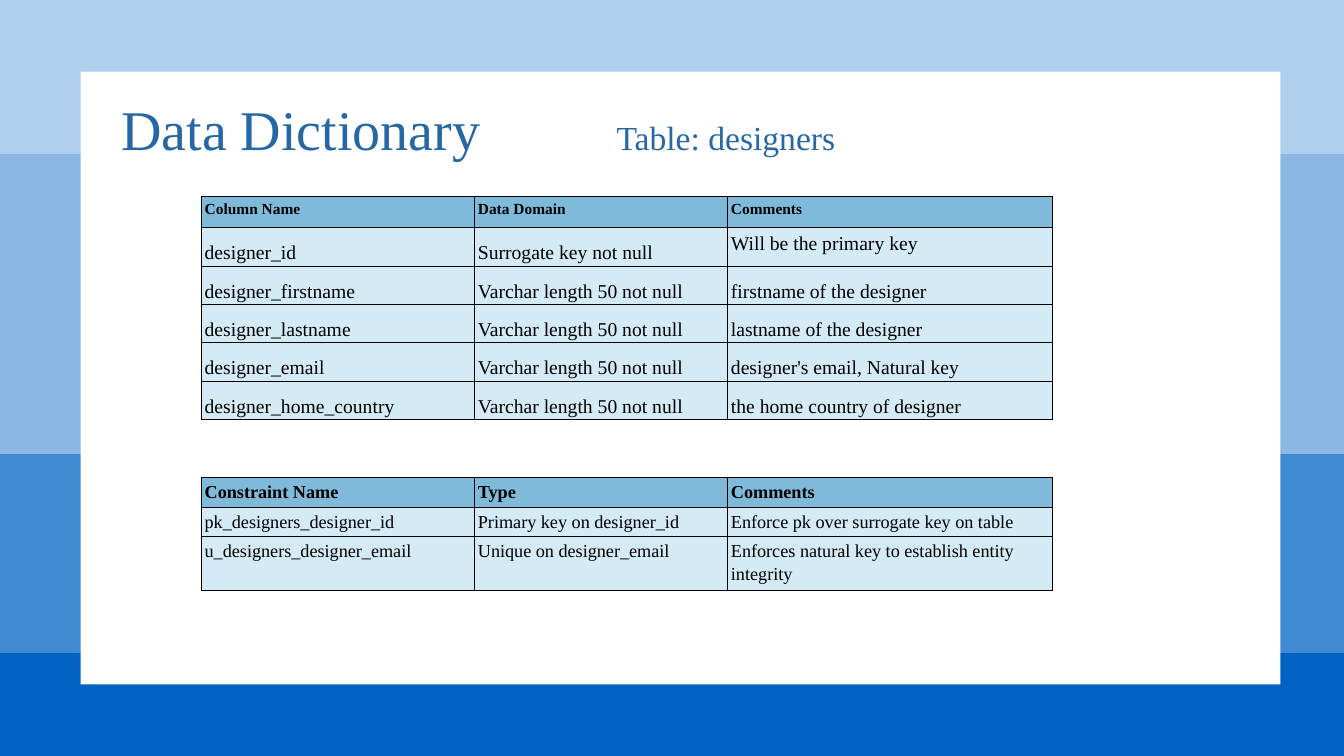
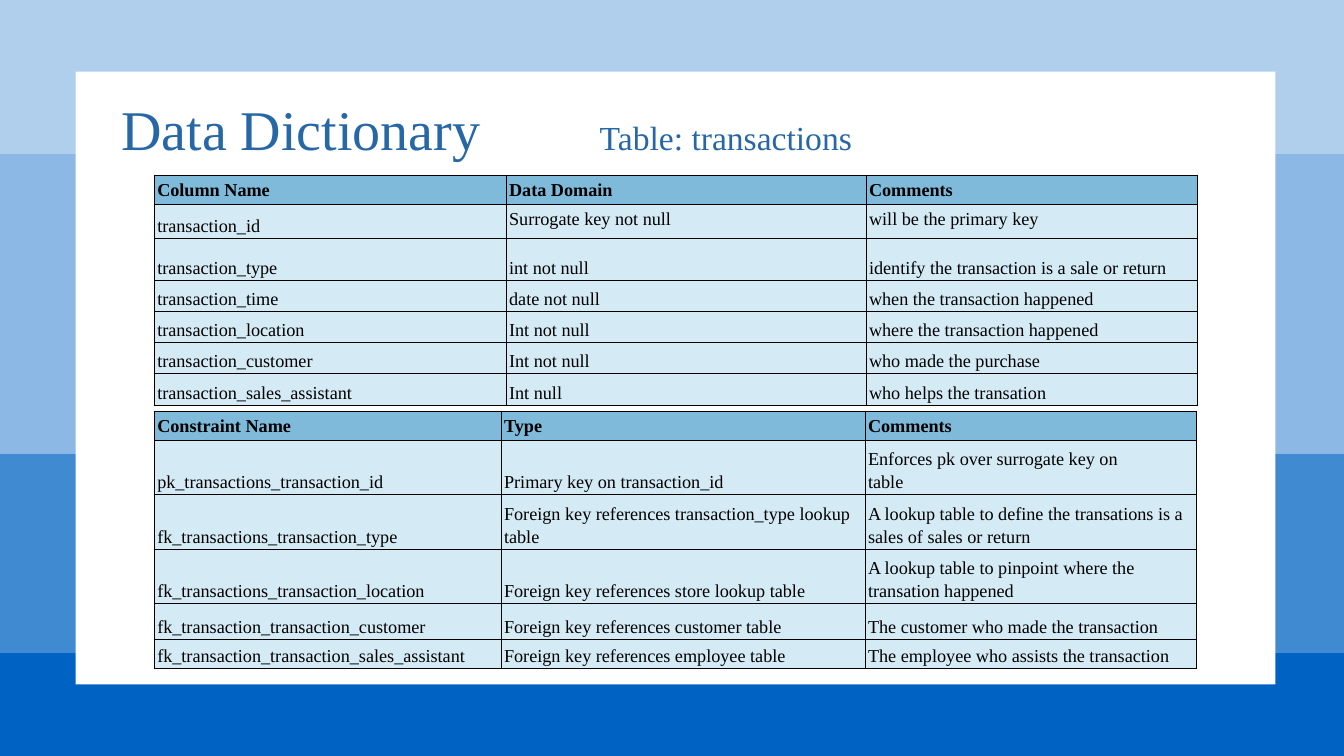
from lxml import etree
from pptx import Presentation
from pptx.dml.color import RGBColor
from pptx.enum.shapes import MSO_SHAPE
from pptx.enum.text import MSO_ANCHOR, MSO_AUTO_SIZE, PP_ALIGN
from pptx.oxml import parse_xml
from pptx.oxml.ns import nsdecls
from pptx.util import Inches, Pt

FONT = "Times New Roman"
TITLE, BLACK, WHITE = "2767A6", "000000", "FFFFFF"
HEADER, BODY = "7FBADA", "D4EAF5"
BANDS = [(0, "B0CFED"), (1.53, "8BB8E4"), (4.5, "408AD2"), (6.48, "0063C3")]
WIDTH, HEIGHT = 13.33, 7.5


def paint(target, color):
    target.solid()
    target.fore_color.rgb = RGBColor.from_string(color)


def format_text(tf, size, color, bold=False, align=PP_ALIGN.LEFT, spacing=None):
    tf.word_wrap = True
    for p in tf.paragraphs:
        p.alignment = align
        p.line_spacing = spacing
        for r in p.runs:
            r.font.name = FONT
            r.font.size = Pt(size)
            r.font.bold = bold
            paint(r.font.fill, color)


SLIDES = [
    {
        "subtitle": "Table: designers",
        "panel_left": 0.8,
        "tables": [
            {
                "at": (2, 1.95),
                "cols": [2.71, 2.51, 3.22],
                "heights": [0.31] + [0.38] * 5,
                "sizes": (11, 14),
                "top_cells": {(1, 2)},
                "rows": [
                    ("Column Name", "Data Domain", "Comments"),
                    ("designer_id", "Surrogate key not null", "Will be the primary key"),
                    ("designer_firstname", "Varchar length 50 not null", "firstname of the designer"),
                    ("designer_lastname", "Varchar length 50 not null", "lastname of the designer"),
                    ("designer_email", "Varchar length 50 not null", "designer's email, Natural key"),
                    ("designer_home_country", "Varchar length 50 not null", "the home country of designer"),
                ],
            },
            {
                "at": (2, 4.74),
                "cols": [2.71, 2.51, 3.22],
                "heights": [0.29, 0.29, 0.53],
                "sizes": (13, 13),
                "top_cells": {(i, j) for i in (1, 2) for j in range(3)},
                "rows": [
                    ("Constraint Name", "Type", "Comments"),
                    ("pk_designers_designer_id", "Primary key on designer_id",
                     "Enforce pk over surrogate key on table"),
                    ("u_designers_designer_email", "Unique on designer_email",
                     "Enforces natural key to establish entity integrity"),
                ],
            },
        ],
    },
    {
        "subtitle": "Table: transactions",
        "panel_left": 0.75,
        "tables": [
            {
                "at": (1.53, 1.74),
                "cols": [3.49, 3.57, 3.29],
                "heights": [0.27, 0.34, 0.41] + [0.31] * 4,
                "sizes": (13, 13),
                "top_cells": {(1, 1), (1, 2)},
                "rows": [
                    ("Column Name", "Data Domain", "Comments"),
                    ("transaction_id", "Surrogate key not null", "will be the primary key"),
                    ("transaction_type", "int not null", "identify the transaction is a sale or return"),
                    ("transaction_time", "date not null", "when the transaction happened"),
                    ("transaction_location", "Int not null", "where the transaction happened"),
                    ("transaction_customer", "Int not null", "who made the purchase"),
                    ("transaction_sales_assistant", "Int null", "who helps the transation"),
                ],
            },
            {
                "at": (1.53, 4.08),
                "cols": [3.44, 3.61, 3.29],
                "heights": [0.29, 0.53, 0.53, 0.53, 0.36, 0.29],
                "sizes": (13, 13),
                "top_cells": set(),
                "rows": [
                    ("Constraint Name", "Type", "Comments"),
                    ("pk_transactions_transaction_id", "Primary key on transaction_id",
                     "Enforces pk over surrogate key on\ntable"),
                    ("fk_transactions_transaction_type",
                     "Foreign key references transaction_type lookup table",
                     "A lookup table to define the transations is a sales of sales or return"),
                    ("fk_transactions_transaction_location", "Foreign key references store lookup table",
                     "A lookup table to pinpoint where the transation happened"),
                    ("fk_transaction_transaction_customer", "Foreign key references customer table",
                     "The customer who made the transaction"),
                    ("fk_transaction_transaction_sales_assistant", "Foreign key references employee table",
                     "The employee who assists the transaction"),
                ],
            },
        ],
    },
]

prs = Presentation()
prs.slide_width, prs.slide_height = Inches(WIDTH), Inches(HEIGHT)

for page in SLIDES:
    s = prs.slides.add_slide(prs.slide_layouts[6])

    bottoms = [top for top, _ in BANDS[1:]] + [HEIGHT]
    rects = [(0, top, WIDTH, bottom - top, color) for (top, color), bottom in zip(BANDS, bottoms)]
    rects.append((page["panel_left"], 0.71, 11.9, 6.08, WHITE))
    for *box, color in rects:
        sp = s.shapes.add_shape(MSO_SHAPE.RECTANGLE, *map(Inches, box))
        sp.shadow.inherit = False
        sp.line.fill.background()
        paint(sp.fill, color)

    headings = [
        ("Data Dictionary", (0.91, 0.89, 4.15, 0.77), 40, 0.05),
        (page["subtitle"], (5.7, 1.06, 3, 0.61), 24, 0.1),
    ]
    for text, box, size, inset in headings:
        tf = s.shapes.add_textbox(*map(Inches, box)).text_frame
        tf.text = text
        tf.margin_top = tf.margin_bottom = Inches(inset)
        tf.auto_size = MSO_AUTO_SIZE.SHAPE_TO_FIT_TEXT
        format_text(tf, size, TITLE, align=PP_ALIGN.CENTER)

    for spec_table in page["tables"]:
        rows, cols, heights = spec_table["rows"], spec_table["cols"], spec_table["heights"]
        left, top = spec_table["at"]
        box = (left, top, sum(cols), sum(heights))
        table = s.shapes.add_table(len(rows), len(cols), *map(Inches, box)).table
        table.first_row = table.horz_banding = False
        for column, width in zip(table.columns, cols):
            column.width = Inches(width)
        for i, (row, height) in enumerate(zip(rows, heights)):
            table.rows[i].height = Inches(height)
            for j, text in enumerate(row):
                cell = table.cell(i, j)
                header = i == 0
                at_top = header or (i, j) in spec_table["top_cells"]
                cell.text_frame.text = text
                cell.margin_left = cell.margin_right = Inches(0.03)
                cell.margin_top = cell.margin_bottom = Inches(0.02)
                cell.vertical_anchor = MSO_ANCHOR.TOP if at_top else MSO_ANCHOR.BOTTOM
                size = spec_table["sizes"][0 if header else 1]
                format_text(cell.text_frame, size, BLACK, bold=header, spacing=1.15)
                tcPr = cell._tc.get_or_add_tcPr()
                for side in ("lnL", "lnR", "lnT", "lnB"):
                    ln = parse_xml(f'<a:{side} {nsdecls("a")} w="{Pt(0.75)}"/>')
                    fill = etree.SubElement(ln, ln.tag.replace(side, "solidFill"))
                    etree.SubElement(fill, ln.tag.replace(side, "srgbClr"), val=BLACK)
                    tcPr.append(ln)
                paint(cell.fill, HEADER if header else BODY)

prs.save("out.pptx")
